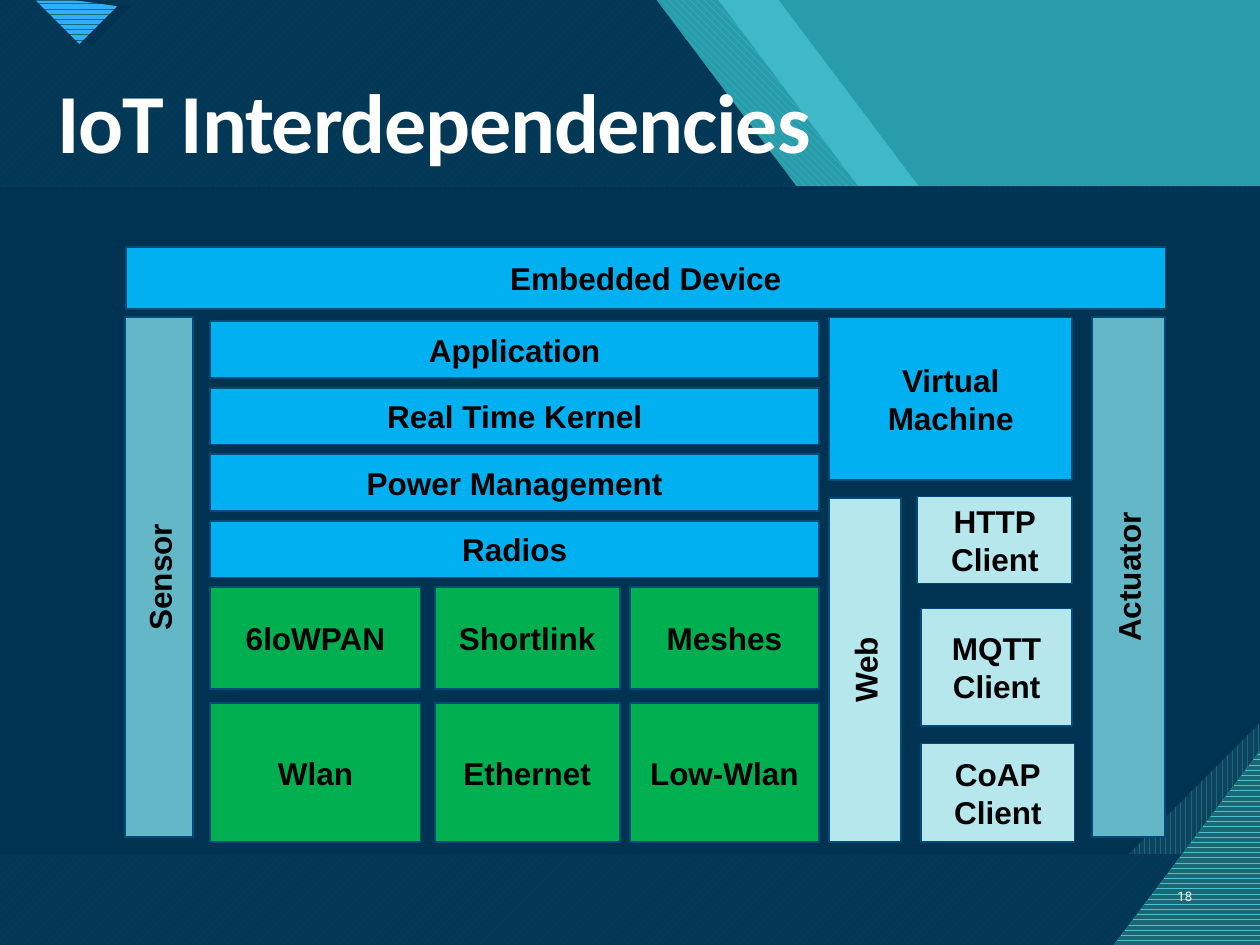
from dataclasses import dataclass
from typing import Optional

from lxml.etree import SubElement
from pptx import Presentation
from pptx.dml.color import RGBColor
from pptx.enum.dml import MSO_PATTERN
from pptx.enum.shapes import MSO_SHAPE
from pptx.enum.text import MSO_ANCHOR, PP_ALIGN
from pptx.oxml.ns import qn
from pptx.util import Pt

WHITE = RGBColor(0xFF, 0xFF, 0xFF)
BLACK = RGBColor(0x00, 0x00, 0x00)
NAVY = RGBColor(0x00, 0x33, 0x52)
STEEL = RGBColor(0x0C, 0x43, 0x60)
OUTLINE = RGBColor(0x00, 0x4B, 0x79)
DEEP_TEAL = RGBColor(0x1B, 0x68, 0x72)
TEAL = RGBColor(0x29, 0x9C, 0xAB)
AQUA = RGBColor(0x47, 0xC3, 0xD3)
AZURE = RGBColor(0x2F, 0xAF, 0xFF)
SKY = RGBColor(0x00, 0xB0, 0xF0)
GREEN = RGBColor(0x00, 0xB0, 0x50)
SIDE_BLUE = RGBColor(0x63, 0xB7, 0xC6)
PALE = RGBColor(0xB5, 0xE7, 0xED)

WIDTH, HEIGHT = 720, 540


@dataclass(frozen=True)
class Paint:
    """A solid colour, or a pattern of color on back; alpha is in percent."""
    color: RGBColor
    back: Optional[RGBColor] = None
    pattern: Optional[MSO_PATTERN] = None
    alpha: int = 100


@dataclass(frozen=True)
class Block:
    """A labelled box, given by the frame it covers on the slide."""
    label: str
    left: float
    top: float
    width: float
    height: float
    color: RGBColor
    upright: bool = False


def apply_paint(shape, paint: Paint) -> None:
    shape.shadow.inherit = False
    shape.line.fill.background()
    if paint.pattern is not None:
        shape.fill.patterned()
        shape.fill.pattern = paint.pattern
        shape.fill.fore_color.rgb = paint.color
        shape.fill.back_color.rgb = paint.back
        return
    shape.fill.solid()
    shape.fill.fore_color.rgb = paint.color
    if paint.alpha < 100:
        color = shape._element.spPr.find(qn("a:solidFill"))[0]
        SubElement(color, qn("a:alpha")).set("val", str(paint.alpha * 1000))


def add_polygon(slide, points: list[tuple[float, float]], paint: Paint) -> None:
    corners = [(Pt(x), Pt(y)) for x, y in points]
    builder = slide.shapes.build_freeform(*corners[0], scale=1.0)
    builder.add_line_segments(corners[1:], close=True)
    apply_paint(builder.convert_to_shape(), paint)


def add_panel(slide, snip: float, paint: Paint) -> None:
    """Add the wide content panel, with its lower right corner snipped."""
    shape = slide.shapes.add_shape(
        MSO_SHAPE.SNIP_1_RECTANGLE, Pt(0), Pt(106.6), Pt(WIDTH), Pt(381.6))
    shape.adjustments[0] = snip
    shape._element.spPr.xfrm.set("flipV", "1")
    apply_paint(shape, paint)


def write_text(shape, text: str, *, size: float, font: str, color: RGBColor,
               bold: bool = False, align=PP_ALIGN.LEFT, anchor=MSO_ANCHOR.MIDDLE,
               line_spacing: Optional[float] = None, tracking: int = 0) -> None:
    """Write one paragraph per line; tracking is in hundredths of a point."""
    frame = shape.text_frame
    frame.word_wrap = True
    frame.vertical_anchor = anchor
    for index, line in enumerate(text.split("\n")):
        paragraph = frame.paragraphs[0] if index == 0 else frame.add_paragraph()
        paragraph.alignment = align
        if line_spacing is not None:
            paragraph.line_spacing = line_spacing
        run = paragraph.add_run()
        run.text = line
        run.font.size = Pt(size)
        run.font.name = font
        run.font.bold = bold
        run.font.color.rgb = color
        if tracking:
            run._r.get_or_add_rPr().set("spc", str(tracking))


def add_block(slide, block: Block) -> None:
    width, height = block.width, block.height
    if block.upright:
        width, height = height, width
    left = block.left + (block.width - width) / 2
    top = block.top + (block.height - height) / 2
    shape = slide.shapes.add_shape(
        MSO_SHAPE.RECTANGLE, Pt(left), Pt(top), Pt(width), Pt(height))
    shape.rotation = 270 if block.upright else 0
    apply_paint(shape, Paint(block.color))
    shape.line.color.rgb = OUTLINE
    shape.line.width = Pt(1)
    write_text(shape, block.label, size=18, font="Arial", color=BLACK,
               bold=True, align=PP_ALIGN.CENTER)


def add_background(slide) -> None:
    slide.background.fill.solid()
    slide.background.fill.fore_color.rgb = TEAL

    def sweep(start: float, shelf: float, edge: float) -> list[tuple[float, float]]:
        """Outline of a layer whose right side slants down from the top edge."""
        return [(0, 0), (start, 0), (start + 160.8, 214), (shelf, 214),
                (WIDTH, edge), (WIDTH, HEIGHT), (0, HEIGHT)]

    dark_sweep = sweep(375.1, 604, 369)
    add_polygon(slide, sweep(445, 666.7, 285.5), Paint(AQUA, alpha=74))
    add_polygon(slide, sweep(410.4, 639.4, 321.8),
                Paint(AQUA, TEAL, MSO_PATTERN.WIDE_DOWNWARD_DIAGONAL))
    add_polygon(slide, dark_sweep,
                Paint(AQUA, DEEP_TEAL, MSO_PATTERN.WIDE_UPWARD_DIAGONAL))
    add_polygon(slide, dark_sweep, Paint(NAVY, alpha=90))

    add_polygon(slide, [(74.9, 3.6), (52.6, 25.9), (22.3, -3.6)], Paint(NAVY))
    add_polygon(slide, [(16.6, -3.6), (45.4, 25.2), (67, 3.6)],
                Paint(AZURE, DEEP_TEAL, MSO_PATTERN.DARK_HORIZONTAL))

    add_panel(slide, 0, Paint(STEEL, DEEP_TEAL, MSO_PATTERN.DARK_VERTICAL))
    add_panel(slide, 0.197, Paint(NAVY))
    add_polygon(slide, [(636.5, HEIGHT), (WIDTH, HEIGHT), (WIDTH, 429.1)],
                Paint(DEEP_TEAL, AQUA, MSO_PATTERN.DARK_HORIZONTAL))


def diagram_blocks() -> list[Block]:
    blocks = [
        Block("Sensor", 71.6, 181.1, 38.9, 297.4, SIDE_BLUE, upright=True),
        Block("Embedded Device", 72, 141.1, 594, 35.3, SKY),
    ]
    layers = ["Application", "Real Time Kernel", "Power Management", "Radios"]
    blocks += [Block(label, 120.2, 183.6 + 38 * index, 347.8, 32.4, SKY)
               for index, label in enumerate(layers)]

    columns = [(120.2, 120.2), (248.4, 105.8), (360, 108)]
    radio_rows = [
        (335.5, 58.3, ["6loWPAN", "Shortlink", "Meshes"]),
        (401.8, 79.2, ["Wlan", "Ethernet", "Low-Wlan"]),
    ]
    blocks += [Block(label, left, top, width, height, GREEN)
               for top, height, labels in radio_rows
               for (left, width), label in zip(columns, labels)]

    return blocks + [
        Block("Virtual\nMachine", 473.8, 181.4, 139, 92.9, SKY),
        Block("Web", 473.8, 284.4, 41, 196.6, PALE, upright=True),
        Block("HTTP\nClient", 524.2, 283.7, 88.6, 49.7, PALE),
        Block("MQTT\nClient", 526.3, 347.8, 86.4, 67, PALE),
        Block("CoAP\nClient", 526.3, 424.8, 87.8, 56.2, PALE),
        Block("Actuator", 623.9, 181.1, 41.8, 297.4, SIDE_BLUE, upright=True),
    ]


def main() -> None:
    presentation = Presentation()
    presentation.slide_width = Pt(WIDTH)
    presentation.slide_height = Pt(HEIGHT)
    slide = presentation.slides.add_slide(presentation.slide_layouts[6])
    add_background(slide)

    title = slide.shapes.add_textbox(Pt(25.9), Pt(42.5), Pt(662.4), Pt(42.5))
    write_text(title, "IoT Interdependencies", size=48, font="Calibri", color=WHITE,
               bold=True, anchor=MSO_ANCHOR.TOP, line_spacing=0.9, tracking=-70)
    number = slide.shapes.add_textbox(Pt(664.6), Pt(497.5), Pt(23.8), Pt(28.8))
    write_text(number, "18", size=7.5, font="Roboto", color=WHITE,
               align=PP_ALIGN.RIGHT)

    for block in diagram_blocks():
        add_block(slide, block)
    presentation.save("out.pptx")


if __name__ == "__main__":
    main()
